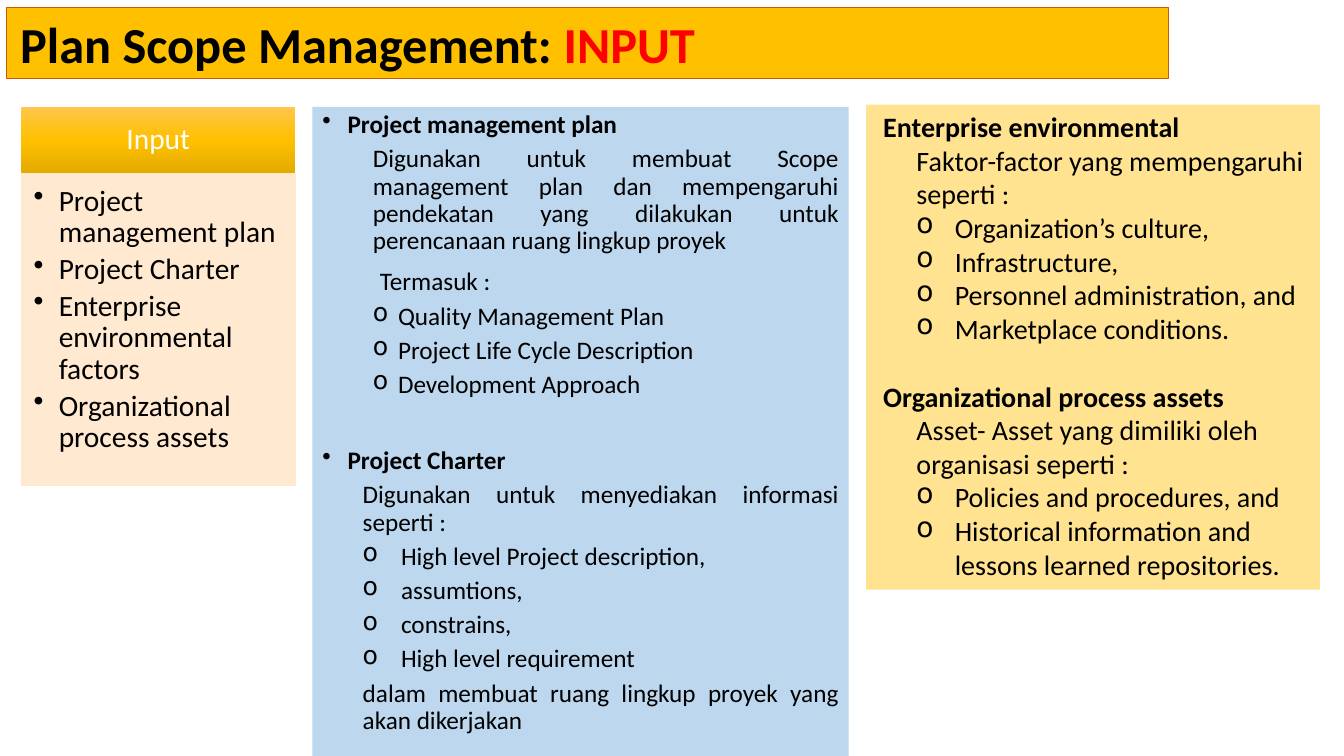
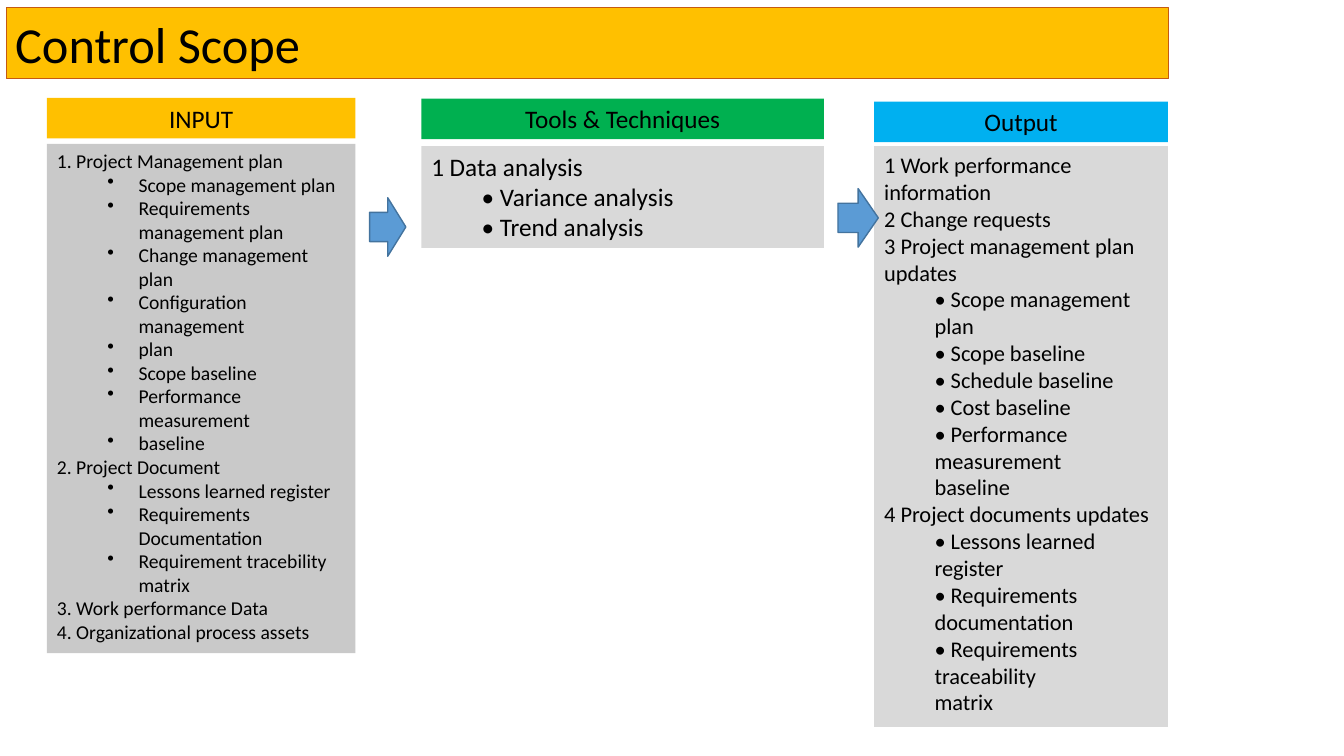
import copy
from dataclasses import dataclass
from typing import NamedTuple, Optional

import lxml.etree
import pptx
import pptx.dml.color
import pptx.enum.shapes
import pptx.enum.text
import pptx.oxml.ns
import pptx.shapes.autoshape
import pptx.slide
import pptx.util

RGBColor = pptx.dml.color.RGBColor
Shape = pptx.shapes.autoshape.Shape
Slide = pptx.slide.Slide
Inches = pptx.util.Inches
Pt = pptx.util.Pt
Align = pptx.enum.text.PP_ALIGN
Anchor = pptx.enum.text.MSO_ANCHOR
Kind = pptx.enum.shapes.MSO_SHAPE
qn = pptx.oxml.ns.qn

WIDE, HIGH = 13.33, 7.5
FONT = "Calibri"
BLACK = RGBColor(0x00, 0x00, 0x00)
WHITE = RGBColor(0xFF, 0xFF, 0xFF)
RED = RGBColor(0xFF, 0x00, 0x00)
GOLD = RGBColor(0xFF, 0xC0, 0x00)
RUST = RGBColor(0xC5, 0x5A, 0x11)
CREAM = RGBColor(0xFF, 0xE8, 0xCC)
SKY = RGBColor(0xBD, 0xD7, 0xEE)
SAND = RGBColor(0xFF, 0xD9, 0x66)
GREEN = RGBColor(0x00, 0xB0, 0x50)
AQUA = RGBColor(0x00, 0xB0, 0xF0)
DARK = RGBColor(0xC9, 0xC9, 0xC9)
PALE = RGBColor(0xD9, 0xD9, 0xD9)
BLUE = RGBColor(0x5B, 0x9B, 0xD5)
NAVY = RGBColor(0x43, 0x73, 0x9E)
SHADES = ((0, RGBColor(0xFF, 0xC6, 0x4B)), (0.5, GOLD), (1, RGBColor(0xE3, 0xAB, 0x00)))


class Box(NamedTuple):
    """Shares of the slide's size, in percent."""
    left: float
    top: float
    wide: float
    high: float


class Edge(NamedTuple):
    color: RGBColor
    width: float


@dataclass(frozen=True)
class Rank:
    left: float = 0
    hang: float = 0
    bullet: str = ""
    before: float = 0
    bold: bool = False


class Line(NamedTuple):
    text: str
    rank: Rank = Rank()
    mark: str = ""


@dataclass(frozen=True)
class Column:
    left: float
    wide: float
    top: float
    head: str
    tint: RGBColor
    start: float
    high: float
    fill: RGBColor
    size: float
    lines: list[Line]


def rows(rank: Rank, *texts: str) -> list[Line]:
    return [Line(text, rank) for text in texts]


def draw(slide: Slide, box: Box, fill: RGBColor, *, kind: Kind = Kind.RECTANGLE,
         edge: Optional[Edge] = None, alpha: int = 100) -> Shape:
    shape = slide.shapes.add_shape(
        kind, Inches(box.left * WIDE / 100), Inches(box.top * HIGH / 100),
        Inches(box.wide * WIDE / 100), Inches(box.high * HIGH / 100))
    shape.shadow.inherit = False
    shape.fill.solid()
    shape.fill.fore_color.rgb = fill
    if alpha < 100:
        color = shape._element.spPr.find(".//" + qn("a:srgbClr"))
        lxml.etree.SubElement(color, qn("a:alpha"), val=str(alpha * 1000))
    if edge:
        shape.line.color.rgb = edge.color
        shape.line.width = Pt(edge.width)
    else:
        shape.line.fill.background()
    return shape


def shade(shape: Shape) -> None:
    shape.fill.gradient()
    shape.fill.gradient_angle = 270
    stops = shape._element.spPr.find(".//" + qn("a:gsLst"))
    stops.insert(1, copy.deepcopy(stops[0]))
    for stop, (place, color) in zip(shape.fill.gradient_stops, SHADES):
        stop.color.rgb = color
        stop.position = place


def write(shape: Shape, lines: list[Line], *, size: float, ink: RGBColor = BLACK,
          align: Align = Align.LEFT, pitch: float = 1, after: float = 0,
          anchor: Anchor = Anchor.TOP,
          inset: tuple[float, float, float, float] = (0.1, 0.05, 0.1, 0.05)) -> None:
    frame = shape.text_frame
    frame.word_wrap = True
    frame.vertical_anchor = anchor
    (frame.margin_left, frame.margin_top,
     frame.margin_right, frame.margin_bottom) = map(Inches, inset)
    for index, line in enumerate(lines):
        para = frame.add_paragraph() if index else frame.paragraphs[0]
        rank = line.rank
        para.alignment = align
        para.line_spacing = pitch
        para.space_before = Pt(rank.before if index else 0)
        para.space_after = Pt(after)
        props = para._p.get_or_add_pPr()
        props.set("marL", str(Inches(rank.left)))
        props.set("indent", str(Inches(-rank.hang)))
        if rank.bullet:
            lxml.etree.SubElement(props, qn("a:buChar"), char=rank.bullet)
        for text, color in ((line.text, ink), (line.mark, RED)):
            if text:
                run = para.add_run()
                run.text = text
                run.font.name = FONT
                run.font.size = Pt(size)
                run.font.bold = rank.bold
                run.font.color.rgb = color


def start(deck: pptx.presentation.Presentation, title: Line) -> Slide:
    slide = deck.slides.add_slide(deck.slide_layouts[6])
    band = draw(slide, Box(0.45, 1.05, 86.5, 9.35), GOLD, edge=Edge(RUST, 0.75))
    write(band, [title], size=36, inset=(0.09, 0.05, 0.09, 0.05))
    return slide


DOT = Rank(0.25, 0.25, "•")
TOPIC = Rank(0.25, 0.25, "•", 10, True)
BREAK = Rank(0.25, 0.25, "•", 35, True)
NOTE = Rank(0.5, before=5)
LEAD = Rank(0.57, before=10)
PART = Rank(0.75, 0.25, "o", 5)
BRIEF = Rank(0.4, before=5)
ITEM = Rank(0.78, 0.38, "o", 5)
HEAD = Rank(0.07, bold=True)
NEXT = Rank(0.07, before=24.4, bold=True)
CAUSE = Rank(0.4)
CASE = Rank(0.78, 0.38, "o")
FLAT = Rank()
POINT = Rank(0.81, 0.31, "•")
SUB = Rank(0.5)

INPUTS = rows(DOT, "Project management plan", "Project Charter",
              "Enterprise environmental factors", "Organizational process assets")
PLAN = [
    Line("Project management plan", TOPIC),
    Line("Digunakan untuk membuat Scope management plan dan mempengaruhi pendekatan "
         "yang dilakukan untuk perencanaan ruang lingkup proyek", NOTE),
    Line("Termasuk :", LEAD),
    *rows(PART, "Quality Management Plan", "Project Life Cycle Description",
          "Development Approach"),
    Line("Project Charter", BREAK),
    Line("Digunakan untuk menyediakan informasi seperti :", BRIEF),
    *rows(ITEM, "High level Project description,", "assumtions,", "constrains,",
          "High level requirement"),
    Line("dalam membuat ruang lingkup proyek yang akan dikerjakan", BRIEF),
]
FACTORS = [
    Line("Enterprise environmental", HEAD),
    Line("Faktor-factor yang mempengaruhi seperti :", CAUSE),
    *rows(CASE, "Organization’s culture,", "Infrastructure,",
          "Personnel administration, and", "Marketplace conditions."),
    Line("Organizational process assets", NEXT),
    Line("Asset- Asset yang dimiliki oleh organisasi seperti :", CAUSE),
    *rows(CASE, "Policies and procedures, and",
          "Historical information and lessons learned repositories."),
]
COLUMNS = [
    Column(3.5, 22.95, 12.95, "INPUT", GOLD, 19.05, 67.35, DARK, 14, [
        Line("1. Project Management plan"),
        *rows(POINT, "Scope management plan", "Requirements management plan",
              "Change management plan", "Configuration management", "plan",
              "Scope baseline", "Performance measurement", "baseline"),
        Line("2. Project Document"),
        *rows(POINT, "Lessons learned register", "Requirements Documentation",
              "Requirement tracebility matrix"),
        *rows(FLAT, "3. Work performance Data", "4. Organizational process assets"),
    ]),
    Column(31.35, 29.95, 13.05, "Tools & Techniques", GREEN, 19.35, 13.45, PALE, 18, [
        Line("1 Data analysis"),
        *rows(SUB, "• Variance analysis", "• Trend analysis"),
    ]),
    Column(65.05, 21.85, 13.45, "Output", AQUA, 19.35, 76.8, PALE, 16, [
        *rows(FLAT, "1 Work performance", "information", "2 Change requests",
              "3 Project management plan", "updates"),
        *rows(SUB, "• Scope management plan", "• Scope baseline", "• Schedule baseline",
              "• Cost baseline", "• Performance measurement", "baseline"),
        Line("4 Project documents updates"),
        *rows(SUB, "• Lessons learned register", "• Requirements", "documentation",
              "• Requirements traceability", "matrix"),
    ]),
]
ARROWS = (Box(27.5, 26.15, 2.7, 7.75), Box(62.35, 24.95, 3, 7.75))


def inputs(deck: pptx.presentation.Presentation) -> None:
    slide = start(deck, Line("Plan Scope Management: ", Rank(0.05, bold=True), "INPUT"))
    head = draw(slide, Box(1.6, 14.15, 20.35, 8.8), GOLD)
    shade(head)
    write(head, [Line("Input")], size=21, ink=WHITE, align=Align.CENTER, pitch=0.9,
          anchor=Anchor.MIDDLE, inset=(0.16, 0.09, 0.16, 0.09))
    card = draw(slide, Box(1.6, 22.95, 20.35, 41.2), CREAM, edge=Edge(CREAM, 0.5), alpha=90)
    write(card, INPUTS, size=21, pitch=0.9, after=3.5, inset=(0.12, 0.12, 0.16, 0.18))
    plan = draw(slide, Box(23.25, 14.15, 39.9, 85.85), SKY)
    write(plan, PLAN, size=18, align=Align.JUSTIFY, pitch=0.9)
    factors = draw(slide, Box(64.45, 13.85, 33.75, 64.15), SAND, alpha=72)
    write(factors, FACTORS, size=20)


def control(deck: pptx.presentation.Presentation) -> None:
    slide = start(deck, Line("Control Scope"))
    for col in COLUMNS:
        head = draw(slide, Box(col.left, col.top, col.wide, 5.35), col.tint)
        write(head, [Line(col.head)], size=18, align=Align.CENTER)
        body = draw(slide, Box(col.left, col.start, col.wide, col.high), col.fill)
        write(body, col.lines, size=col.size)
    for box in ARROWS:
        draw(slide, box, BLUE, kind=Kind.RIGHT_ARROW, edge=Edge(NAVY, 1))


def main() -> None:
    deck = pptx.Presentation()
    deck.slide_width = Inches(WIDE)
    deck.slide_height = Inches(HIGH)
    inputs(deck)
    control(deck)
    deck.save("out.pptx")


if __name__ == "__main__":
    main()
